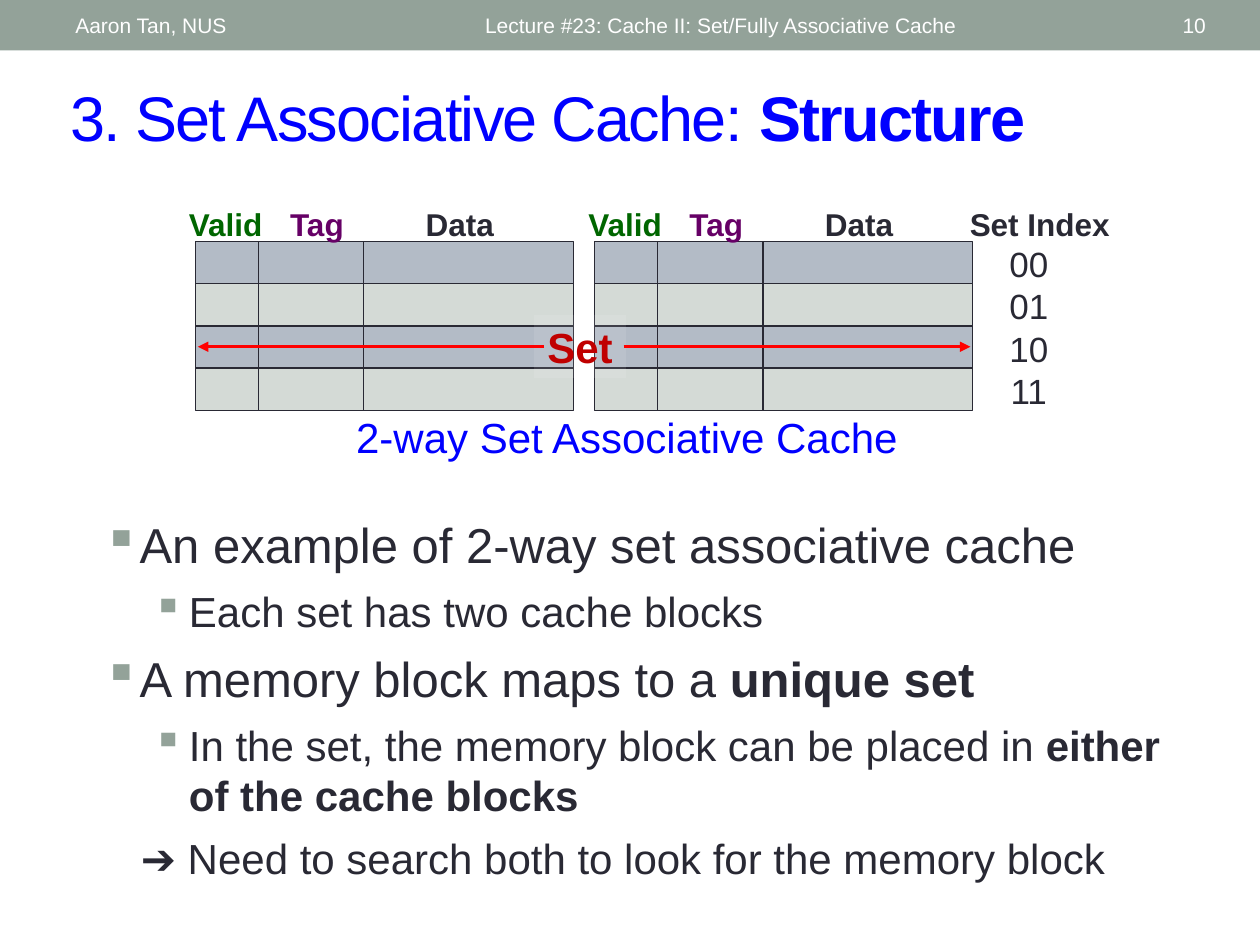
import pptx
import pptx.dml.color
import pptx.enum.dml
import pptx.enum.shapes
import pptx.enum.text
import pptx.oxml
import pptx.oxml.ns
import pptx.util
from lxml import etree

Cm = pptx.util.Cm
Pt = pptx.util.Pt
RGBColor = pptx.dml.color.RGBColor
Align = pptx.enum.text.PP_ALIGN
Anchor = pptx.enum.text.MSO_ANCHOR

SAGE = RGBColor(0x93, 0xA2, 0x99)
BLUE = RGBColor(0x00, 0x00, 0xFF)
WHITE = RGBColor(0xFF, 0xFF, 0xFF)
INK = RGBColor(0x29, 0x29, 0x34)
SLATE = RGBColor(0xB3, 0xBB, 0xC6)
MIST = RGBColor(0xD4, 0xDA, 0xD6)
GREEN = RGBColor(0x00, 0x66, 0x00)
PURPLE = RGBColor(0x66, 0x00, 0x66)
DARK_RED = RGBColor(0xC0, 0x00, 0x00)
RED = RGBColor(0xFF, 0x00, 0x00)


def add_xml(parent, tag, **attributes):
    """Append a DrawingML element such as a:buChar."""
    return etree.SubElement(parent, pptx.oxml.ns.qn(tag), attributes)


class SlideBuilder:
    font_name = "Arial"

    def __init__(self, presentation):
        self.slide = presentation.slides.add_slide(presentation.slide_layouts[5])

    def runs(self, paragraph, pieces, size, color, spacing=None):
        """Write (text, bold) pieces into a paragraph."""
        for text, bold in pieces:
            run = paragraph.add_run()
            run.text = text
            formats = {"name": self.font_name, "size": Pt(size), "bold": bold}
            for name, value in formats.items():
                setattr(run.font, name, value)
            run.font.color.rgb = color
            if spacing:
                run.font._element.set("spc", str(spacing))

    def frame(self, shape, anchor=Anchor.TOP, wrap=True):
        formats = {
            "word_wrap": wrap,
            "vertical_anchor": anchor,
            "auto_size": pptx.enum.text.MSO_AUTO_SIZE.NONE,
        }
        for name, value in formats.items():
            setattr(shape.text_frame, name, value)
        return shape.text_frame

    def title(self, box, pieces, size, color):
        shape = self.slide.shapes.title
        for name, value in zip(("left", "top", "width", "height"), box):
            setattr(shape, name, Cm(value))
        paragraph = self.frame(shape, Anchor.MIDDLE).paragraphs[0]
        paragraph.alignment = Align.LEFT
        self.runs(paragraph, pieces, size, color, spacing=-100)

    def text(self, box, text, size, color, bold=False, align=Align.LEFT,
             anchor=Anchor.TOP, wrap=False):
        shape = self.slide.shapes.add_textbox(*map(Cm, box))
        paragraph = self.frame(shape, anchor, wrap).paragraphs[0]
        paragraph.alignment = align
        self.runs(paragraph, [(text, bold)], size, color)
        return shape

    def rectangle(self, box, fill, line=None):
        shape = self.slide.shapes.add_shape(
            pptx.enum.shapes.MSO_SHAPE.RECTANGLE, *map(Cm, box))
        shape.shadow.inherit = False
        shape.fill.solid()
        shape.fill.fore_color.rgb = fill
        if line is None:
            shape.line.fill.background()
        else:
            shape.line.color.rgb = line
            shape.line.width = Pt(0.75)

    def arrow(self, start_x, end_x, y):
        connector = self.slide.shapes.add_connector(
            pptx.enum.shapes.MSO_CONNECTOR.STRAIGHT,
            Cm(start_x), Cm(y), Cm(end_x), Cm(y))
        connector.line.color.rgb = RED
        connector.line.width = Pt(1.75)
        add_xml(connector.line._get_or_add_ln(), "a:tailEnd", type="triangle")
        add_xml(connector._element.spPr, "a:effectLst")

    def outline(self, box, items):
        """Write items of (level, bullet, margin, hanging, size, pieces)."""
        text_frame = self.frame(self.slide.shapes.add_textbox(*map(Cm, box)))
        for index, (level, bullet, margin, hanging, size, pieces) in enumerate(items):
            paragraph = text_frame.add_paragraph() if index else text_frame.paragraphs[0]
            paragraph.level = level
            if index:
                paragraph.space_before = Pt(7)
            properties = paragraph._element.get_or_add_pPr()
            properties.set("marL", str(Cm(margin)))
            properties.set("indent", str(-Cm(hanging)))
            if bullet:
                color = add_xml(properties, "a:buClr")
                add_xml(color, "a:srgbClr", val=str(SAGE))
                add_xml(properties, "a:buChar", char=bullet)
            else:
                add_xml(properties, "a:buNone")
            self.runs(paragraph, pieces, size, INK)


def main():
    presentation = pptx.Presentation()
    presentation.slide_width = Cm(25.4)
    presentation.slide_height = Cm(19.05)
    builder = SlideBuilder(presentation)

    # Header bar and title
    builder.rectangle((0, 0, 25.4, 1.02), SAGE)
    for left, width, text, align in (
        (1.27, 8.05, "Aaron Tan, NUS", Align.LEFT),
        (9.53, 11.43, "Lecture #23: Cache II: Set/Fully Associative Cache", Align.LEFT),
        (22.15, 2.41, "10", Align.RIGHT),
    ):
        builder.text((left, 0.05, width, 0.91), text, 12, WHITE,
                     align=align, anchor=Anchor.MIDDLE, wrap=True)
    builder.title((1.17, 1.45, 23.39, 1.78),
                  [("3. Set Associative Cache: ", False), ("Structure", True)], 36, BLUE)

    # Two cache ways: column offset, width, then label offset, width
    grid_top, row_height = 4.87, 0.85
    label_top, label_height = 4.01, 0.94
    columns = (
        ("Valid", GREEN, 0, 1.27, -0.38, 1.85),
        ("Tag", PURPLE, 1.27, 2.12, 1.66, 1.52),
        ("Data", INK, 3.39, 4.23, 4.39, 1.75),
    )
    for way_left in (3.94, 11.99):
        for label, color, offset, width, label_offset, label_width in columns:
            for row in range(4):
                box = (way_left + offset, grid_top + row * row_height, width, row_height)
                builder.rectangle(box, MIST if row % 2 else SLATE, INK)
            builder.text((way_left + label_offset, label_top, label_width, label_height),
                         label, 18, color, bold=True)

    # Set index column
    builder.text((19.3, label_top, 3.33, label_height), "Set Index", 18, INK, bold=True)
    for row in range(4):
        builder.text((20.14, 4.77 + row * row_height, 1.2, 0.94),
                     f"{row:02b}", 20, INK, align=Align.CENTER)

    # Highlighted set
    marker = builder.text((10.77, 6.35, 1.85, 1.27), "Set", 24, DARK_RED,
                          bold=True, align=Align.CENTER)
    marker.fill.solid()
    marker.fill.fore_color.rgb = WHITE
    fill_color = marker._element.spPr.find(".//" + pptx.oxml.ns.qn("a:srgbClr"))
    add_xml(fill_color, "a:alpha", val="10000")
    builder.arrow(12.57, 19.56, 6.99)
    builder.arrow(10.97, 3.99, 6.99)
    builder.text((6.93, 8.18, 11.53, 1.27), "2-way Set Associative Cache", 24, BLUE)

    # Explanation
    top_level = (0, "▪", 0.73, 0.73, 28)
    sub_level = (1, "▪", 1.73, 0.73, 24)
    conclusion = (1, None, 1.27, 0.51, 24)
    builder.outline((1.83, 10.25, 22.73, 7.7), [
        (*top_level, [("An example of 2-way set associative cache", False)]),
        (*sub_level, [("Each set has two cache blocks", False)]),
        (*top_level, [("A memory block maps to a ", False), ("unique set", True)]),
        (*sub_level, [("In the set, the memory block can be placed in ", False),
                      ("either of the cache blocks", True)]),
        (*conclusion, [("➔ Need to search both to look for the memory block", False)]),
    ])

    presentation.save("out.pptx")


if __name__ == "__main__":
    main()
